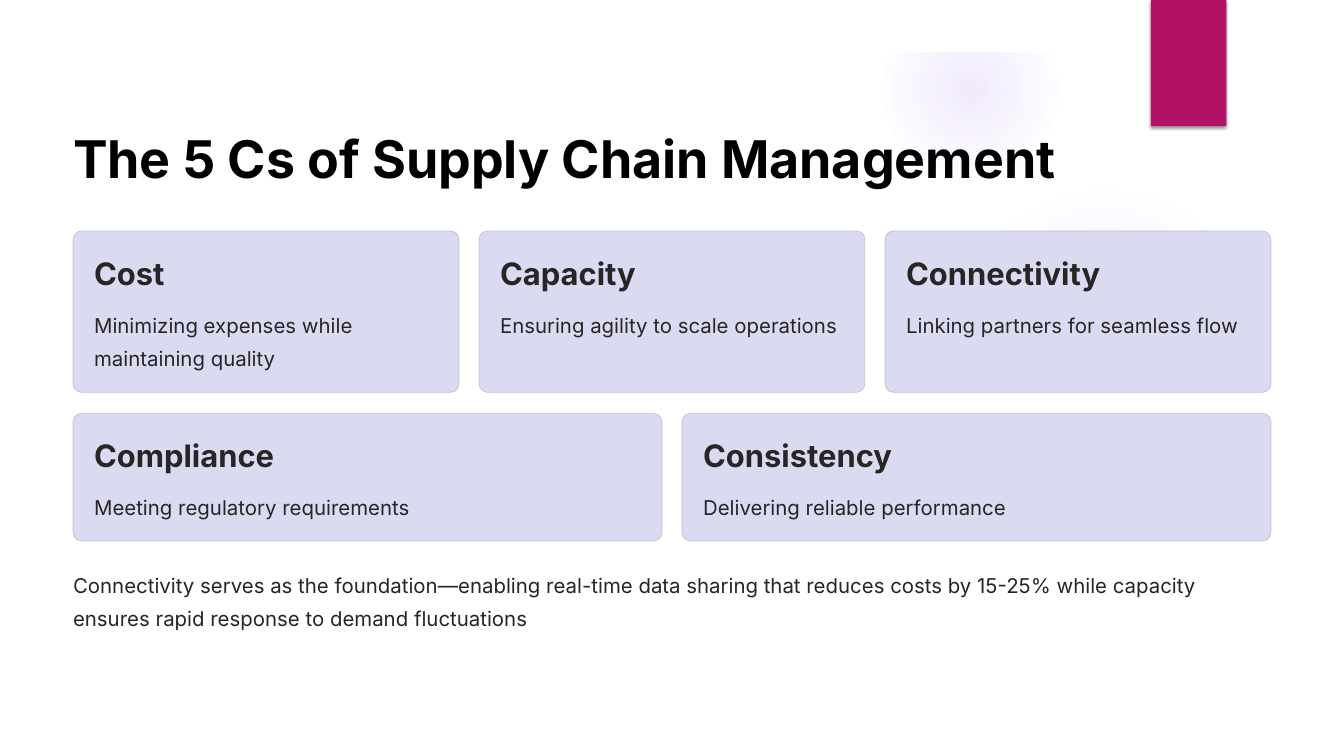
from lxml import etree
from pptx import Presentation
from pptx.dml.color import RGBColor
from pptx.enum.shapes import MSO_SHAPE
from pptx.oxml.ns import qn
from pptx.util import Inches, Pt

BLACK = RGBColor(0x00, 0x00, 0x00)
WHITE = RGBColor(0xFF, 0xFF, 0xFF)
INK = RGBColor(0x27, 0x25, 0x25)
MAGENTA = RGBColor(0xB3, 0x11, 0x66)
CARD_FILL = RGBColor(0xDA, 0xDB, 0xF1)
CARD_LINE = RGBColor(0xC0, 0xC1, 0xD7)
VIOLET = RGBColor(0x9B, 0x6B, 0xF2)

LEFT, WIDTH, GAP, PAD, RADIUS = 0.87, 14.26, 0.24, 0.25, 0.1

prs = Presentation()
prs.slide_width, prs.slide_height = Inches(16), Inches(9)
s = prs.slides.add_slide(prs.slide_layouts[6])


def add_shape(kind, x, y, w, h, fill=WHITE):
    sp = s.shapes.add_shape(kind, Inches(x), Inches(y), Inches(w), Inches(h))
    sp.shadow.inherit = False
    sp.fill.solid()
    sp.fill.fore_color.rgb = fill
    sp.line.fill.background()
    return sp


def add_text(text, x, y, w, h, size=17.5, leading=28.5, bold=False, color=INK, wrap=True):
    tf = s.shapes.add_textbox(Inches(x), Inches(y), Inches(w), Inches(h)).text_frame
    tf.margin_left = tf.margin_top = tf.margin_right = tf.margin_bottom = 0
    tf.word_wrap = wrap
    p = tf.paragraphs[0]
    p.line_spacing = Pt(leading)
    r = p.add_run()
    r.text = text
    r.font.name, r.font.size, r.font.bold = "Inter", Pt(size), bold
    r.font.color.rgb = color


# Soft round glows: x, y, diameter, then (position %, opacity %) stops
glows = [
    (11.3, 2.2, 3.7, [(0, 7), (36, 6), (69, 0)]),
    (10.5, 0.01, 2.1, [(0, 14), (36, 7), (73, 0)]),
]
for x, y, d, stops in glows:
    sp = add_shape(MSO_SHAPE.OVAL, x, y, d, d)
    solid = sp.fill._xPr.find(qn("a:solidFill"))
    grad = etree.Element(qn("a:gradFill"), rotWithShape="1")
    stop_list = etree.SubElement(grad, qn("a:gsLst"))
    for pos, opacity in stops:
        gs = etree.SubElement(stop_list, qn("a:gs"), pos=str(pos * 1000))
        clr = etree.SubElement(gs, qn("a:srgbClr"), val=str(VIOLET))
        etree.SubElement(clr, qn("a:alpha"), val=str(opacity * 1000))
    centre = etree.SubElement(grad, qn("a:path"), {"path": "circle"})
    etree.SubElement(centre, qn("a:fillToRect"), l="50000", t="50000", r="50000", b="50000")
    solid.getparent().replace(solid, grad)

# White frame and panel that crop the glows
add_shape(MSO_SHAPE.RECTANGLE, 0, 0, 16, 0.62)
add_shape(MSO_SHAPE.RECTANGLE, 0.6, 2.8, 14.8, 5.6)

ribbon = add_shape(MSO_SHAPE.RECTANGLE, 13.7, 0, 0.9, 1.5, MAGENTA)
effects = ribbon._element.spPr.find(qn("a:effectLst"))
shadow = etree.SubElement(effects, qn("a:outerShdw"), blurRad=str(Pt(3)), dist=str(Pt(2)),
                          dir="5400000", rotWithShape="0")
shadow_color = etree.SubElement(shadow, qn("a:srgbClr"), val=str(BLACK))
etree.SubElement(shadow_color, qn("a:alpha"), val="45000")

add_text("The 5 Cs of Supply Chain Management", LEFT, 1.48, 11.74, 0.78,
         size=44.5, leading=55.5, bold=True, color=BLACK, wrap=False)

# Card rows: top, height, cards
rows = [
    (2.75, 1.92, [
        ("Cost", "Minimizing expenses while maintaining quality"),
        ("Capacity", "Ensuring agility to scale operations"),
        ("Connectivity", "Linking partners for seamless flow"),
    ]),
    (4.92, 1.52, [
        ("Compliance", "Meeting regulatory requirements"),
        ("Consistency", "Delivering reliable performance"),
    ]),
]
for top, height, cards in rows:
    width = (WIDTH - GAP * (len(cards) - 1)) / len(cards)
    for i, (heading, detail) in enumerate(cards):
        x = LEFT + i * (width + GAP)
        card = add_shape(MSO_SHAPE.ROUNDED_RECTANGLE, x, top, width, height, CARD_FILL)
        card.adjustments[0] = RADIUS / height
        card.line.color.rgb = CARD_LINE
        card.line.width = Pt(0.6)
        add_text(heading, x + PAD, top + 0.26, 3.72, 0.47,
                 size=26.5, leading=33, bold=True, wrap=False)
        add_text(detail, x + PAD, top + 0.87, width - 2 * PAD, height - 1.13)

add_text("Connectivity serves as the foundation—enabling real-time data sharing that reduces "
         "costs by 15-25% while capacity ensures rapid response to demand fluctuations",
         LEFT, 6.72, WIDTH, 0.79)

prs.save("out.pptx")
